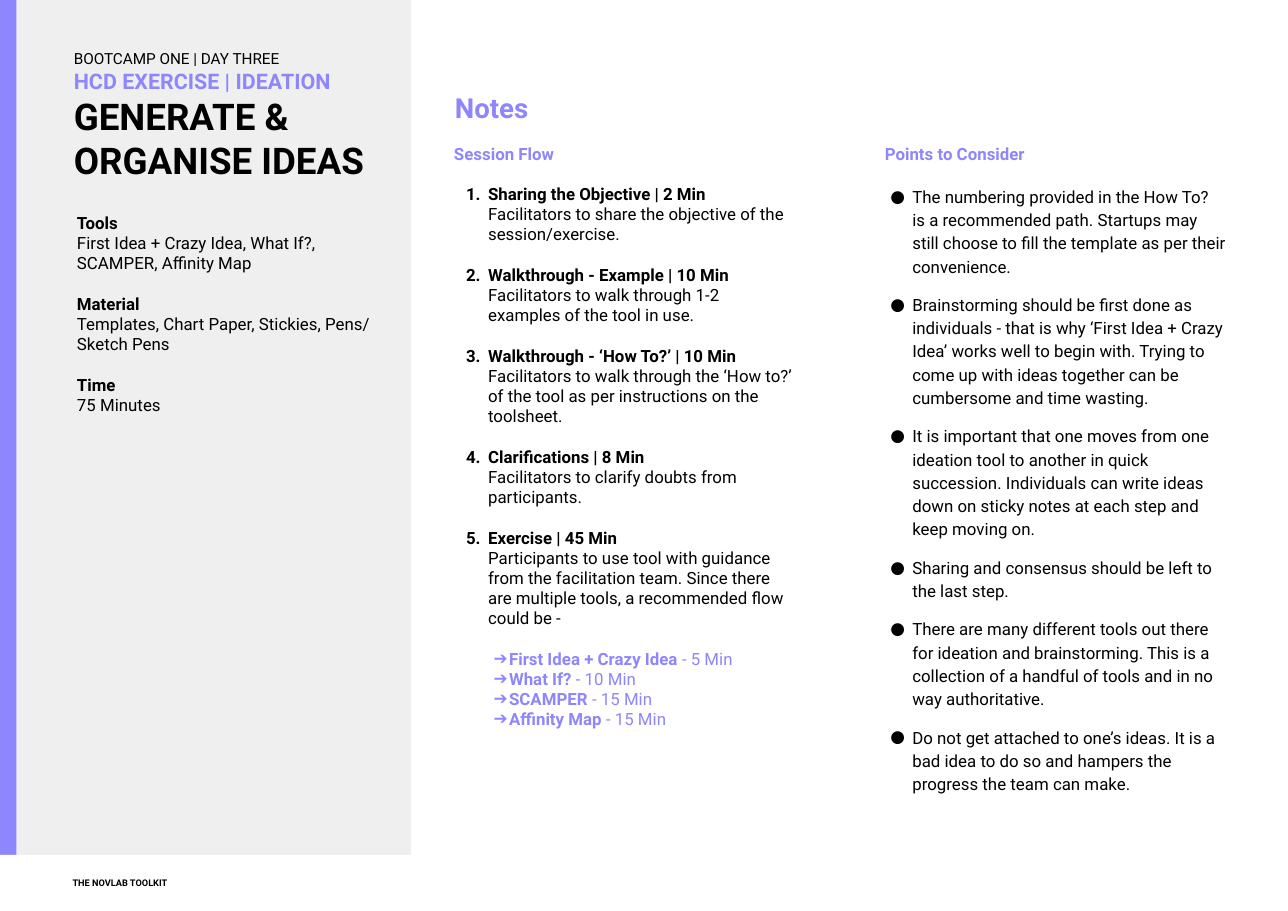
from dataclasses import dataclass

from lxml.etree import SubElement as Sub
from pptx import Presentation
from pptx.dml.color import RGBColor as RGB
from pptx.enum.shapes import MSO_SHAPE as Shape
from pptx.enum.text import MSO_ANCHOR as Anchor, MSO_AUTO_SIZE as Fit, PP_ALIGN as Align
from pptx.oxml.ns import qn
from pptx.util import Inches, Pt


@dataclass(frozen=True)
class Theme:
    face = "Roboto"
    black, violet, grey, white = "000000", "8D86FC", "EFEFEF", "FFFFFF"
    # style: size, bold, colour
    styles = {
        "text": (11, False, black),
        "bold": (11, True, black),
        "head": (11, True, violet),
        "step": (11, False, violet),
        "notes": (18, True, violet),
        "day": (10, False, black),
        "topic": (14, True, violet),
        "title": (24, True, black),
        "foot": (6, True, black),
    }
    gap = 13.2  # one line of body text
    pad, thin = 0.13, 0.1


@dataclass(frozen=True)
class Box:
    x: float
    y: float
    w: float
    h: float

    def cut(self, x, y, w, h):
        """Part of this box, in percent of its sides."""
        return Box(self.x + self.w * x / 100, self.y + self.h * y / 100,
                   self.w * w / 100, self.h * h / 100)

    def dims(self):
        return {"left": Inches(self.x), "top": Inches(self.y),
                "width": Inches(self.w), "height": Inches(self.h)}


theme = Theme()
page = Box(0, 0, 11.69, 8.27)

FLOW = [
    ("Sharing the Objective | 2 Min",
     "Facilitators to share the objective of the session/exercise."),
    ("Walkthrough - Example | 10 Min",
     "Facilitators to walk through 1-2 examples of the tool in use."),
    ("Walkthrough - ‘How To?’ | 10 Min",
     "Facilitators to walk through the ‘How to?’ of the tool as per "
     "instructions on the toolsheet."),
    ("Clarifications | 8 Min",
     "Facilitators to clarify doubts from participants."),
    ("Exercise | 45 Min",
     "Participants to use tool with guidance from the facilitation team. Since "
     "there are multiple tools, a recommended flow could be -"),
]
STEPS = [("First Idea + Crazy Idea", 5), ("What If?", 10),
         ("SCAMPER", 15), ("Affinity Map", 15)]
POINTS = [
    "The numbering provided in the How To? is a recommended path. Startups may "
    "still choose to fill the template as per their convenience.",
    "Brainstorming should be first done as individuals - that is why ‘First Idea + "
    "Crazy Idea’ works well to begin with. Trying to come up with ideas together "
    "can be cumbersome and time wasting.",
    "It is important that one moves from one ideation tool to another in quick "
    "succession. Individuals can write ideas down on sticky notes at each step and "
    "keep moving on.",
    "Sharing and consensus should be left to the last step.",
    "There are many different tools out there for ideation and brainstorming. This "
    "is a collection of a handful of tools and in no way authoritative.",
    "Do not get attached to one’s ideas. It is a bad idea to do so and hampers the "
    "progress the team can make.",
]
FACTS = [
    ("Tools", ["First Idea + Crazy Idea, What If?,", "SCAMPER, Affinity Map"]),
    ("Material", ["Templates, Chart Paper, Stickies, Pens/ Sketch Pens"]),
    ("Time", ["75 Minutes"]),
]


def apply(item, vals):
    for name, val in vals.items():
        setattr(item, name, val)


def mark(para, left, hang, sign, color):
    """Indent a paragraph; sign is a bullet, a number or None."""
    props = para._p.get_or_add_pPr()
    props.set("marL", str(Inches(left)))
    props.set("indent", str(-Inches(hang)))
    if sign is None:
        Sub(props, qn("a:buNone"))
        return
    Sub(Sub(props, qn("a:buClr")), qn("a:srgbClr"), val=color)
    Sub(props, qn("a:buFont"), typeface=theme.face)
    if isinstance(sign, int):
        Sub(props, qn("a:buAutoNum"), type="arabicPeriod", startAt=str(sign))
    else:
        Sub(props, qn("a:buChar"), char=sign)


def write(frame, runs, left=0, hang=0, sign=None, color=theme.black, before=0, lead=1.0):
    first = not frame.paragraphs[0].runs
    para = frame.paragraphs[0] if first else frame.add_paragraph()
    mark(para, left, hang, sign, color)
    apply(para, {"alignment": Align.LEFT, "line_spacing": lead,
                 "space_before": Pt(before), "space_after": Pt(0)})
    for text, style in runs:
        if text == "\n":
            para.add_line_break()
            continue
        run = para.add_run()
        run.text = text
        size, bold, tint = theme.styles[style]
        apply(run.font, {"name": theme.face, "size": Pt(size), "bold": bold})
        run.font.color.rgb = RGB.from_string(tint)


def area(slide, box, pad, anchor=Anchor.TOP, holder=None):
    """Text frame in a new box or in a given placeholder."""
    item = holder or slide.shapes.add_textbox(**box.dims())
    apply(item, box.dims())
    sides = ("margin_left", "margin_top", "margin_right", "margin_bottom")
    apply(item.text_frame, {"word_wrap": True, "auto_size": Fit.NONE,
                            "vertical_anchor": anchor,
                            **dict.fromkeys(sides, Inches(pad))})
    return item.text_frame


def block(slide, box, color):
    item = slide.shapes.add_shape(Shape.RECTANGLE, **box.dims())
    item.shadow.inherit = False
    item.fill.solid()
    item.fill.fore_color.rgb = RGB.from_string(color)
    item.line.fill.background()
    return item


def sidebar(slide, box):
    # Grey panel behind the title, violet stripe on its edge
    panel = block(slide, box, theme.grey).element
    panel.getparent().insert(2, panel)
    block(slide, box.cut(0, 0, 4.02, 100), theme.violet)
    # Title
    frame = area(slide, box.cut(14.48, 6.89, 83.65, 14.63), theme.pad,
                 Anchor.BOTTOM, slide.shapes.title)
    for text, style in (("BOOTCAMP ONE | DAY THREE", "day"),
                        ("HCD EXERCISE | IDEATION", "topic"),
                        ("GENERATE & ORGANISE IDEAS", "title")):
        write(frame, [(text, style)])
    # Tools, material and time
    frame = area(slide, box.cut(16.09, 22.13, 87.94, 25.88), theme.thin)
    for num, (head, lines) in enumerate(FACTS):
        write(frame, [(head, "bold")], before=theme.gap if num else 0)
        runs = [(line, "text") for line in lines]
        write(frame, runs[:1] + [r for run in runs[1:] for r in (("\n", ""), run)])


def notes(slide, box):
    frame = area(slide, box.cut(3.77, 7.62, 41.21, 8.34), theme.thin, Anchor.MIDDLE)
    write(frame, [("Notes", "notes")])
    # Session flow
    frame = area(slide, box.cut(3.27, 14.15, 42.21, 57.19), theme.pad,
                 holder=slide.placeholders[1])
    write(frame, [("Session Flow", "head")])
    for num, (head, text) in enumerate(FLOW, 1):
        write(frame, [(head, "bold")], 0.31, 0.2, num, before=theme.gap)
        write(frame, [(text, "text")], 0.31)
    for num, (tool, mins) in enumerate(STEPS):
        write(frame, [(tool, "head"), (f" - {mins} Min", "step")], 0.5, 0.14, "➔",
              theme.violet, 0 if num else theme.gap)
    # Points to consider
    frame = area(slide, box.cut(52.39, 14.15, 42.21, 77.03), theme.pad,
                 holder=slide.placeholders[2])
    write(frame, [("Points to Consider", "head")])
    for num, text in enumerate(POINTS):
        write(frame, [(text, "text")], 0.25, 0.2, "●",
              before=10 if num else theme.gap, lead=1.15)


def footer(slide, box):
    block(slide, box, theme.white)
    frame = area(slide, box.cut(4.79, 21.57, 39.44, 56.86), theme.thin, Anchor.BOTTOM)
    write(frame, [("THE NOVLAB TOOLKIT", "foot")])


def main():
    deck = Presentation()
    apply(deck, {"slide_width": Inches(page.w), "slide_height": Inches(page.h)})
    slide = deck.slides.add_slide(deck.slide_layouts[3])
    sidebar(slide, page.cut(0, 0, 31.91, 100))
    notes(slide, page.cut(31.91, 0, 68.09, 100))
    footer(slide, page.cut(0, 93.83, 100, 6.17))
    deck.save("out.pptx")


if __name__ == "__main__":
    main()
